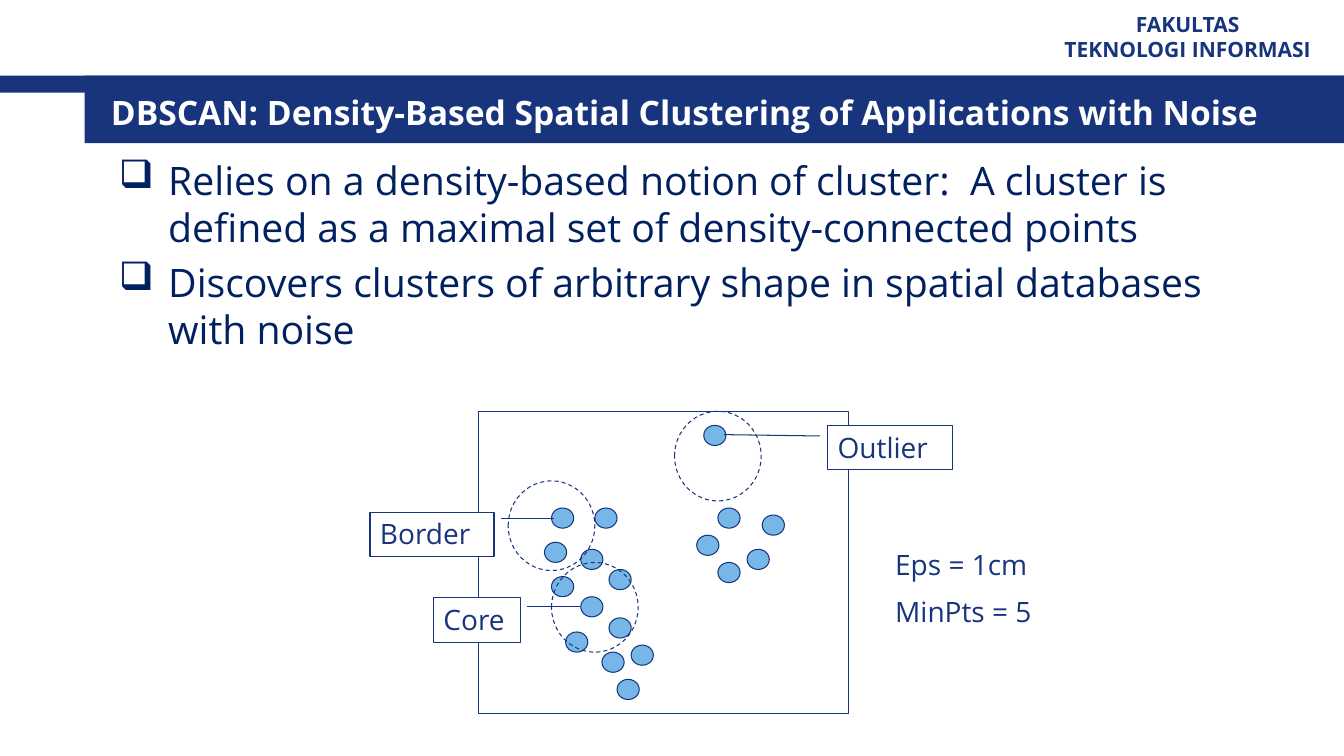
import dataclasses

import lxml.etree
import pptx
import pptx.dml.color
import pptx.enum.dml
import pptx.enum.shapes
import pptx.enum.text
import pptx.oxml.ns
import pptx.shapes.autoshape
import pptx.slide
import pptx.text.text
import pptx.util

Inches = pptx.util.Inches
Pt = pptx.util.Pt
RGBColor = pptx.dml.color.RGBColor
Shape = pptx.shapes.autoshape.Shape
Forms = pptx.enum.shapes.MSO_SHAPE
Align = pptx.enum.text.PP_ALIGN
Anchor = pptx.enum.text.MSO_ANCHOR

BLUE = RGBColor(0x17, 0x34, 0x7D)
NAVY = RGBColor(0x00, 0x20, 0x60)
SKY = RGBColor(0x77, 0xB7, 0xE7)
WHITE = RGBColor(0xFF, 0xFF, 0xFF)
FONT = "Open Sans"


@dataclasses.dataclass
class Box:
    left: float
    top: float
    width: float
    height: float

    def sides(self) -> list[pptx.util.Length]:
        return [Inches(side) for side in dataclasses.astuple(self)]


@dataclasses.dataclass
class Style:
    size: int
    color: RGBColor
    bold: bool = False
    align: Align = Align.LEFT
    before: float = 0
    anchor: Anchor = Anchor.TOP


@dataclasses.dataclass
class Callout:
    label: str
    box: Box
    bends: tuple[float, float, float, float]


DOT_SIZE = (0.22, 0.2)
RING_SIZE = (0.86, 0.89)
BORDER_DOTS = [(5.47, 5.04), (5.4, 5.38), (5.76, 5.45), (5.9, 5.04)]
CORE_DOTS = [(6.04, 5.65), (5.47, 5.72), (5.76, 5.92), (5.61, 6.27), (6.04, 6.13)]
TAIL_DOTS = [(5.97, 6.47), (6.12, 6.74), (6.26, 6.4)]
RIGHT_DOTS = [(7.12, 5.04), (6.91, 5.31), (7.41, 5.45), (7.56, 5.11), (7.12, 5.58)]
OUTLIER = [(6.98, 4.22)]
DOTS = BORDER_DOTS + CORE_DOTS + TAIL_DOTS + RIGHT_DOTS + OUTLIER
RINGS = [(5.04, 4.77), (5.47, 5.58), (6.69, 4.08)]
CALLOUTS = [
    Callout("Core", Box(4.3, 5.93, 0.86, 0.44), (0.19, 1.08, 0.19, 1.69)),
    Callout("Border", Box(3.67, 5.08, 1.23, 0.44), (0.15, 1.06, 0.15, 1.48)),
    Callout("Outlier", Box(8.21, 4.22, 1.24, 0.44), (0.24, -0.06, 0.21, -0.83)),
]
POINTS = [
    "Relies on a density-based notion of cluster:  A cluster is defined as a "
    "maximal set of density-connected points",
    "Discovers clusters of arbitrary shape in spatial databases with noise",
]


def write(frame: pptx.text.text.TextFrame, lines: list[str], style: Style) -> None:
    frame.auto_size = pptx.enum.text.MSO_AUTO_SIZE.NONE
    frame.word_wrap = True
    frame.vertical_anchor = style.anchor
    for index, line in enumerate(lines):
        para = frame.add_paragraph() if index else frame.paragraphs[0]
        para.alignment = style.align
        para.space_before = Pt(style.before)
        run = para.add_run()
        run.text = line
        run.font.name = FONT
        run.font.size = Pt(style.size)
        run.font.bold = style.bold
        run.font.color.rgb = style.color


def add_text(slide: pptx.slide.Slide, box: Box, lines: list[str],
             style: Style) -> pptx.text.text.TextFrame:
    frame = slide.shapes.add_textbox(*box.sides()).text_frame
    write(frame, lines, style)
    return frame


def add_form(slide: pptx.slide.Slide, form: Forms, box: Box,
             fill: RGBColor | None = None, line: RGBColor | None = BLUE) -> Shape:
    shape = slide.shapes.add_shape(form, *box.sides())
    shape.shadow.inherit = False
    if fill is None:
        shape.fill.background()
    else:
        shape.fill.solid()
        shape.fill.fore_color.rgb = fill
    if line is None:
        shape.line.fill.background()
    else:
        shape.line.color.rgb = line
        shape.line.width = Pt(0.75)
    return shape


def add_bullet(para: pptx.text.text._Paragraph) -> None:
    props = para._p.get_or_add_pPr()
    props.set("marL", str(Inches(0.49)))
    props.set("indent", str(-Inches(0.49)))
    mark = lxml.etree.SubElement(props, pptx.oxml.ns.qn("a:buChar"))
    mark.set("char", "\u2751")


def add_head(slide: pptx.slide.Slide) -> None:
    for bar in (Box(0, 0.75, 13.33, 0.17), Box(0.84, 0.75, 12.49, 0.67)):
        add_form(slide, Forms.RECTANGLE, bar, BLUE, None)
    add_text(slide, Box(10.23, 0.05, 3.1, 0.62), ["FAKULTAS", "TEKNOLOGI INFORMASI"],
             Style(15, BLUE, True, Align.CENTER, anchor=Anchor.MIDDLE))
    title = slide.shapes.title
    title.left, title.top, title.width, title.height = Box(1, 0.8, 11.89, 0.62).sides()
    write(title.text_frame,
          ["DBSCAN: Density-Based Spatial Clustering of Applications with Noise"],
          Style(24, WHITE, True, anchor=Anchor.MIDDLE))
    title._element.getparent().append(title._element)


def add_plot(slide: pptx.slide.Slide) -> None:
    for spot in DOTS:
        add_form(slide, Forms.OVAL, Box(*spot, *DOT_SIZE), SKY)
    add_form(slide, Forms.RECTANGLE, Box(4.75, 4.08, 3.67, 3))
    for spot in RINGS:
        ring = add_form(slide, Forms.OVAL, Box(*spot, *RING_SIZE))
        ring.line.dash_style = pptx.enum.dml.MSO_LINE.DASH
    for note in CALLOUTS:
        shape = add_form(slide, Forms.LINE_CALLOUT_1, note.box, WHITE)
        for index, bend in enumerate(note.bends):
            shape.adjustments[index] = bend
        write(shape.text_frame, [note.label], Style(20, BLUE))
    add_text(slide, Box(8.78, 5.38, 1.8, 0.94), ["Eps = 1cm", "MinPts = 5"],
             Style(20, BLUE, before=10))


deck = pptx.Presentation()
deck.slide_width, deck.slide_height = Inches(13.33), Inches(7.5)
slide = deck.slides.add_slide(deck.slide_layouts.get_by_name("Title Only"))
add_head(slide)
body = add_text(slide, Box(1.08, 1.5, 11.42, 2.1), POINTS, Style(28, NAVY, before=5.6))
for para in body.paragraphs:
    add_bullet(para)
add_plot(slide)
deck.save("out.pptx")
